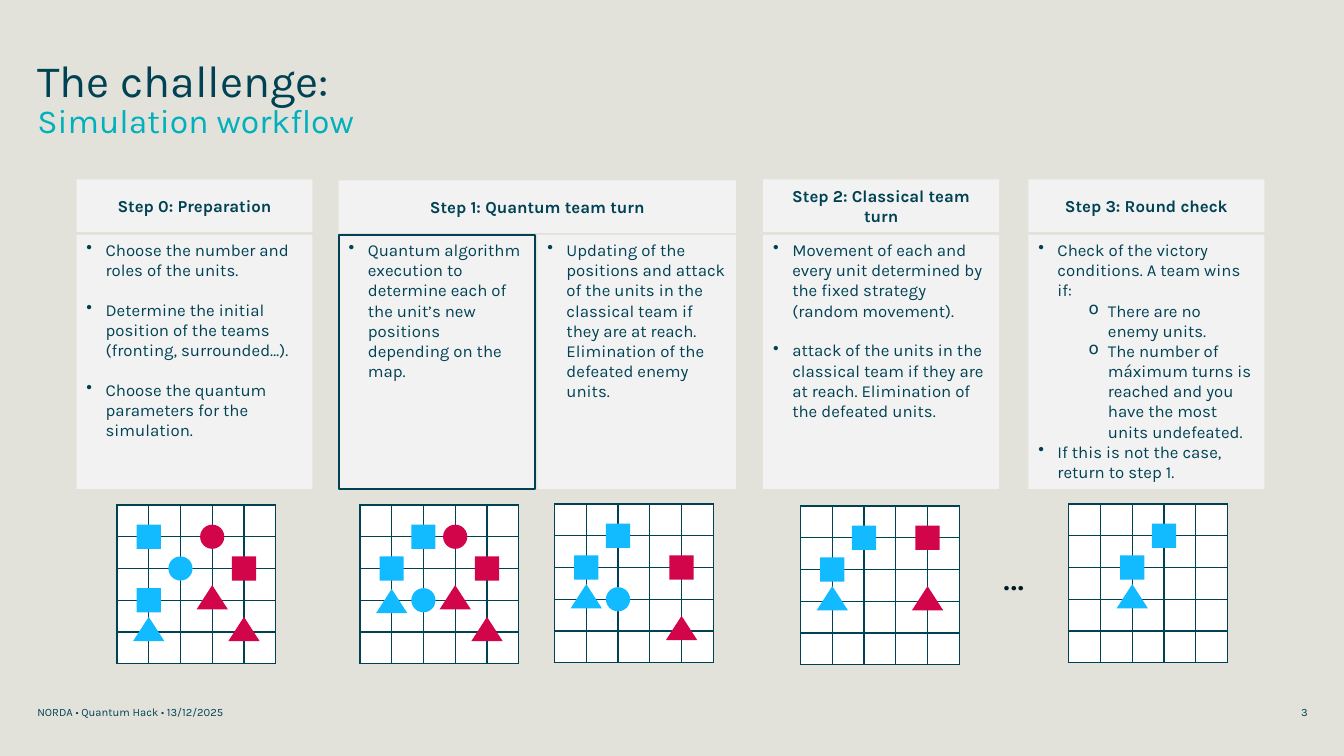
from lxml import etree
from pptx import Presentation
from pptx import util as u
from pptx.dml.color import RGBColor
from pptx.enum import shapes, text
from pptx.oxml import ns

FONT = "Karla"
COLORS = {
    "back": "E3E2DA", "panel": "F2F2F2", "ink": "004254", "teal": "00B0BD",
    "white": "FFFFFF", "blue": "12BBFF", "red": "D2044A", "dots": "001923",
}
FORMS = {
    "square": (shapes.MSO_SHAPE.RECTANGLE, 0.24, 0),
    "circle": (shapes.MSO_SHAPE.OVAL, 0.24, 0),
    "wedge": (shapes.MSO_SHAPE.ISOSCELES_TRIANGLE, 0.31, -0.03),
}
CELL, COUNT = 0.315, 5
LEFT, CENTER, RIGHT = text.PP_ALIGN.LEFT, text.PP_ALIGN.CENTER, text.PP_ALIGN.RIGHT
TOP, MIDDLE, BOTTOM = text.MSO_ANCHOR.TOP, text.MSO_ANCHOR.MIDDLE, text.MSO_ANCHOR.BOTTOM

STEPS = [
    ("Step 0: Preparation", (0.76, 1.78, 2.34), 14, [(0.76, 2.34, False, [
        (0, "Choose the number and roles of the units."),
        (0, "Determine the initial position of the teams (fronting, surrounded…)."),
        (0, "Choose the quantum parameters for the simulation.")])]),
    ("Step 1: Quantum team turn", (3.36, 1.79, 3.94), 0, [
        (3.36, 1.95, True, [
            (0, "Quantum algorithm execution to determine each of the unit’s new "
                "positions depending on the map.")]),
        (5.33, 1.97, False, [
            (0, "Updating of the positions and attack of the units in the classical "
                "team if they are at reach. Elimination of the defeated enemy units.")])]),
    ("Step 2: Classical team turn", (7.57, 1.78, 2.34), 14, [(7.57, 2.34, False, [
        (0, "Movement of each and every unit determined by the fixed strategy "
            "(random movement)."),
        (0, "attack of the units in the classical team if they are at reach. "
            "Elimination of the defeated units.")])]),
    ("Step 3: Round check", (10.2, 1.78, 2.34), 0, [(10.2, 2.34, False, [
        (0, "Check of the victory conditions. A team wins if:"),
        (1, "There are no enemy units."),
        (1, "The number of máximum turns is reached and you have the most units "
            "undefeated."),
        (0, "If this is not the case, return to step 1.")])]),
]

BOARDS = [
    (1.16, 5.01, [
        ("square", "blue", 1, 1), ("square", "blue", 1, 3), ("circle", "blue", 2, 2),
        ("wedge", "blue", 1, 4), ("square", "red", 4, 2), ("circle", "red", 3, 1),
        ("wedge", "red", 4, 4), ("wedge", "red", 3, 3)]),
    (3.57, 5.01, [
        ("square", "blue", 2, 1), ("square", "blue", 1, 2), ("circle", "blue", 2, 3),
        ("wedge", "blue", 1, 3.12), ("square", "red", 4, 2), ("circle", "red", 3, 1),
        ("wedge", "red", 4, 4), ("wedge", "red", 3, 3)]),
    (5.5, 5, [
        ("square", "blue", 2, 1), ("square", "blue", 1, 2), ("circle", "blue", 2, 3),
        ("wedge", "blue", 1, 3), ("square", "red", 4, 2), ("wedge", "red", 4, 4)]),
    (7.94, 5.02, [
        ("square", "blue", 2, 1), ("square", "blue", 1, 2), ("wedge", "blue", 1, 3),
        ("square", "red", 4, 1), ("wedge", "red", 4, 3)]),
    (10.6, 5, [
        ("square", "blue", 3, 1), ("square", "blue", 2, 2), ("wedge", "blue", 2, 3)]),
]


def tint(name):
    """Return the named colour."""
    return RGBColor.from_string(COLORS[name])


def style(run, size, color="ink", bold=False):
    """Set the font of a run."""
    run.font.name = FONT
    run.font.size = u.Pt(size)
    run.font.bold = bold
    run.font.color.rgb = tint(color)


def draw(slide, form, box, fill, edge=None):
    """Add a flat shape in the given box."""
    shape = slide.shapes.add_shape(form, *map(u.Inches, box))
    shape.shadow.inherit = False
    shape.fill.solid()
    shape.fill.fore_color.rgb = tint(fill)
    if edge:
        shape.line.color.rgb = tint(edge)
        shape.line.width = u.Pt(1.5)
    else:
        shape.line.fill.background()
    return shape


def label(slide, box, words, looks, align=LEFT, anchor=TOP):
    """Add a borderless text box whose runs take the given looks."""
    frame = slide.shapes.add_textbox(*map(u.Inches, box)).text_frame
    frame.word_wrap = True
    frame.vertical_anchor = anchor
    frame.margin_left = frame.margin_right = 0
    frame.margin_top = frame.margin_bottom = 0
    par = frame.paragraphs[0]
    par.text = words
    par.alignment = align
    for run, look in zip(par.runs, looks):
        style(run, *look)
    return par


def panel(slide, box, items, gap, framed):
    """Add a panel with a bulleted list."""
    edge = "ink" if framed else None
    shape = draw(slide, shapes.MSO_SHAPE.RECTANGLE, box, "panel", edge)
    frame = shape.text_frame
    frame.word_wrap = True
    frame.vertical_anchor = TOP
    frame.text = "\n".join(words for _, words in items)
    for index, (par, (level, _)) in enumerate(zip(frame.paragraphs, items)):
        par.alignment = LEFT
        par.level = level
        par.space_before = u.Pt(gap if index else 0)
        props = par._p.get_or_add_pPr()
        props.set("marL", str(u.Inches(0.19 + 0.5 * level)))
        props.set("indent", str(u.Inches(-0.19)))
        etree.SubElement(props, ns.qn("a:buChar"), char="•o"[level])
        style(par.runs[0], 12)


def step(slide, title, head, gap, parts):
    """Add a step heading with its panels below."""
    left, top, width = head
    shape = draw(slide, shapes.MSO_SHAPE.RECTANGLE, (left, top, width, 0.52), "panel")
    frame = shape.text_frame
    frame.word_wrap = True
    frame.vertical_anchor = MIDDLE
    frame.text = title
    frame.paragraphs[0].alignment = CENTER
    style(frame.paragraphs[0].runs[0], 12, bold=True)
    for x, wide, framed, items in parts:
        panel(slide, (x, 2.33, wide, 2.52), items, gap, framed)


def border(cell):
    """Draw thin lines on all sides of a cell."""
    props = cell._tc.get_or_add_tcPr()
    for side in "LRTB":
        line = etree.SubElement(props, ns.qn("a:ln" + side), w=str(u.Pt(1)))
        fill = etree.SubElement(line, ns.qn("a:solidFill"))
        etree.SubElement(fill, ns.qn("a:srgbClr"), val=COLORS["ink"])


def board(slide, left, top, units):
    """Add a square grid with units on its crossings."""
    size = CELL * COUNT
    box = (left, top, size, size)
    draw(slide, shapes.MSO_SHAPE.RECTANGLE, box, "white")
    table = slide.shapes.add_table(COUNT, COUNT, *map(u.Inches, box)).table
    table.first_row = table.horz_banding = False
    for line in (*table.columns, ):
        line.width = u.Inches(CELL)
    for line in table.rows:
        line.height = u.Inches(CELL)
    for cell in table.iter_cells():
        cell.margin_left = cell.margin_right = 0
        cell.margin_top = cell.margin_bottom = 0
        border(cell)
        cell.fill.background()
    for kind, color, col, row in units:
        form, width, shift = FORMS[kind]
        x = left + col * CELL - width / 2
        y = top + row * CELL - 0.12 + shift
        draw(slide, form, (x, y, width, 0.24), color)


def main():
    """Build and save the workflow slide."""
    deck = Presentation()
    deck.slide_width, deck.slide_height = u.Inches(13.33), u.Inches(7.5)
    slide = deck.slides.add_slide(deck.slide_layouts[6])
    slide.background.fill.solid()
    slide.background.fill.fore_color.rgb = tint("back")
    title = label(slide, (0.37, 0.6, 5.51, 0.95), "The challenge:\vSimulation workflow",
                  [(32,), (24, "teal")])
    title.line_spacing = 0.85
    label(slide, (0.37, 7, 7.93, 0.13), "NORDA • Quantum Hack • 13/12/2025",
          [(8,)], anchor=BOTTOM)
    label(slide, (12.55, 7, 0.42, 0.13), "3", [(8,)], RIGHT, BOTTOM)
    for item in STEPS:
        step(slide, *item)
    for item in BOARDS:
        board(slide, *item)
    dots = label(slide, (9.89, 5.47, 0.33, 0.48), "…", [(28, "dots")], CENTER)
    dots.space_before = u.Pt(6)
    deck.save("out.pptx")


if __name__ == "__main__":
    main()
